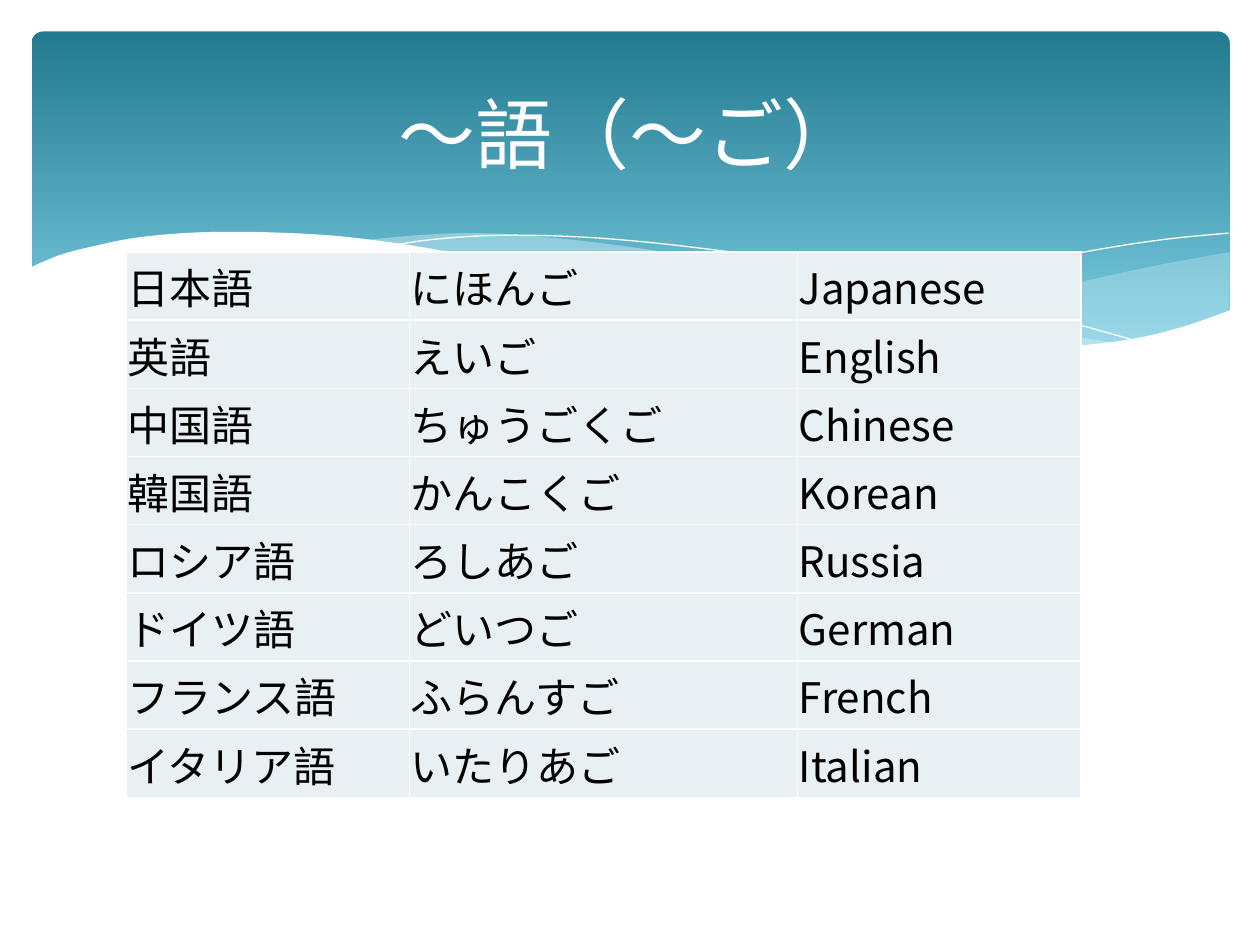
from lxml import etree
from pptx import Presentation
from pptx import util as u
from pptx.dml import color
from pptx.enum import shapes, text
from pptx.oxml import ns

PX = 9144
WHITE = "FFFFFF"
PALE = "DEF5FA"
TABLE_FONT = "Noto Sans CJK SC"

LANGUAGES = [
    ("日本語", "にほんご", "Japanese"),
    ("英語", "えいご", "English"),
    ("中国語", "ちゅうごくご", "Chinese"),
    ("韓国語", "かんこくご", "Korean"),
    ("ロシア語", "ろしあご", "Russia"),
    ("ドイツ語", "どいつご", "German"),
    ("フランス語", "ふらんすご", "French"),
    ("イタリア語", "いたりあご", "Italian"),
]

RIGHT_TOP = [(953, 16), (898, 26), (838, 39), (756, 58), (683, 73), (638, 81)]
RIGHT_BOTTOM = [(638, 81), (682, 87), (734, 92), (780, 94), (831, 92),
                (874, 86), (912, 78), (953, 63)]
MIDDLE_TOP = [(870, 89), (814, 81), (752, 70), (683, 56), (606, 38), (546, 24),
              (491, 14), (419, 5), (357, 1), (305, 3), (263, 7)]
MIDDLE_BOTTOM = [(263, 7), (319, 15), (381, 27), (426, 38), (507, 56), (578, 71),
                 (642, 82), (699, 90), (750, 93), (795, 94), (834, 93), (870, 89)]
LONG_LINE = [(286, 11), (321, 6), (364, 3), (410, 3), (466, 6), (533, 13),
             (613, 24), (704, 42), (808, 67), (884, 88)]
SHORT_LINE = [(590, 73), (672, 51), (753, 32), (843, 15), (901, 6), (952, 1)]
FRONT_EDGE = [(954, 62), (917, 75), (876, 85), (827, 91), (786, 93), (738, 91),
              (685, 86), (625, 78), (556, 66), (480, 49), (424, 36), (368, 23),
              (317, 13), (269, 6), (227, 2), (170, 0), (123, 1), (83, 5),
              (53, 11), (29, 17), (13, 23), (0, 29)]
FRONT_BASE = [(0, 145), (954, 145)]


def px(value):
    return u.Emu(round(value * PX))


def rgb(value):
    return color.RGBColor.from_string(value)


def add_child(parent, tag, **attributes):
    return etree.SubElement(parent, ns.qn(tag), attributes)


def smooth(points, steps=4):
    padded = [points[0], *points, points[-1]]
    curve = []
    for a, b, c, d in zip(padded, padded[1:], padded[2:], padded[3:]):
        for t in (step / steps for step in range(steps)):
            curve.append(tuple(
                (2 * q + (r - p) * t + (2 * p - 5 * q + 4 * r - s) * t ** 2
                 + (3 * q - p - 3 * r + s) * t ** 3) / 2
                for p, q, r, s in zip(a, b, c, d)))
    return curve + [points[-1]]


def add_wave(slide, box, points, fill=None, opacity=100):
    vertices = [(px(x), px(y)) for x, y in points]
    builder = slide.shapes.build_freeform(*vertices[0], scale=1.0)
    builder.add_line_segments(vertices[1:], close=fill is not None)
    wave = builder.convert_to_shape(px(box[0]), px(box[1]))
    wave.shadow.inherit = False
    if fill is None:
        wave.fill.background()
        wave.line.color.rgb = rgb(WHITE)
        wave.line.width = 0
        return
    wave.line.fill.background()
    wave.fill.solid()
    wave.fill.fore_color.rgb = rgb(fill)
    if opacity < 100:
        tint = wave._element.spPr.find(ns.qn("a:solidFill"))[0]
        add_child(tint, "a:alpha", val=str(opacity * 1000))


def add_banner(slide, box):
    banner = slide.shapes.add_shape(
        shapes.MSO_SHAPE.ROUNDED_RECTANGLE, *map(px, box))
    banner.adjustments[0] = 0.034
    banner.shadow.inherit = False
    banner.line.fill.background()
    banner.fill.gradient()
    banner.fill.gradient_angle = 270
    stops = [(0, "227A8F"), (0.9, "7ACBE0")]
    for stop, (position, shade) in zip(banner.fill.gradient_stops, stops):
        stop.position = position
        stop.color.rgb = rgb(shade)


def add_waves(slide, box):
    add_wave(slide, box, smooth(RIGHT_TOP) + smooth(RIGHT_BOTTOM), PALE, 29)
    add_wave(slide, box, smooth(MIDDLE_TOP) + smooth(MIDDLE_BOTTOM), PALE, 40)
    add_wave(slide, box, smooth(LONG_LINE))
    add_wave(slide, box, smooth(SHORT_LINE))
    add_wave(slide, box, smooth(FRONT_EDGE) + FRONT_BASE, WHITE)


def format_cell(cell, wording):
    cell.margin_left = cell.margin_right = cell.margin_top = px(1)
    cell.margin_bottom = 0
    cell.vertical_anchor = text.MSO_ANCHOR.MIDDLE
    cell.text = wording
    font = cell.text_frame.paragraphs[0].font
    font.size = u.Pt(24)
    font.color.rgb = rgb("000000")
    font.name = TABLE_FONT
    add_child(font._element, "a:ea", typeface=TABLE_FONT)
    properties = cell._tc.get_or_add_tcPr()
    for side in ("a:lnL", "a:lnR", "a:lnT", "a:lnB"):
        border = add_child(properties, side, w=str(u.Pt(1)))
        add_child(add_child(border, "a:solidFill"), "a:srgbClr", val=WHITE)
    cell.fill.solid()
    cell.fill.fore_color.rgb = rgb("E8F0F4")


def add_languages(slide, box):
    table = slide.shapes.add_table(
        len(LANGUAGES), len(LANGUAGES[0]), *map(px, box)).table
    side_width = 225
    for column, width in zip(
            table.columns, (side_width, box[2] - 2 * side_width, side_width)):
        column.width = px(width)
    for row, wordings in zip(table.rows, LANGUAGES):
        row.height = px(box[3] / len(LANGUAGES))
        for cell, wording in zip(row.cells, wordings):
            format_cell(cell, wording)


def add_title(slide, box):
    title = slide.shapes.title
    title.left, title.top, title.width, title.height = map(px, box)
    title.text_frame.text = "～語（～ご）"
    title.text_frame.vertical_anchor = text.MSO_ANCHOR.MIDDLE
    heading = title.text_frame.paragraphs[0]
    heading.alignment = text.PP_ALIGN.CENTER
    heading.font.size = u.Pt(44)
    heading.font.name = "Calibri"
    heading.font.color.rgb = rgb(WHITE)
    slide.shapes._spTree.append(title._element)


def main():
    deck = Presentation()
    deck.slide_width, deck.slide_height = px(1000), px(750)
    slide = deck.slides.add_slide(deck.slide_layouts[5])
    add_banner(slide, (25, 25, 951, 270))
    add_waves(slide, (23, 184))
    add_languages(slide, (100, 200, 758, 433))
    add_title(slide, (50, 37, 900, 137))
    deck.save("out.pptx")


if __name__ == "__main__":
    main()
